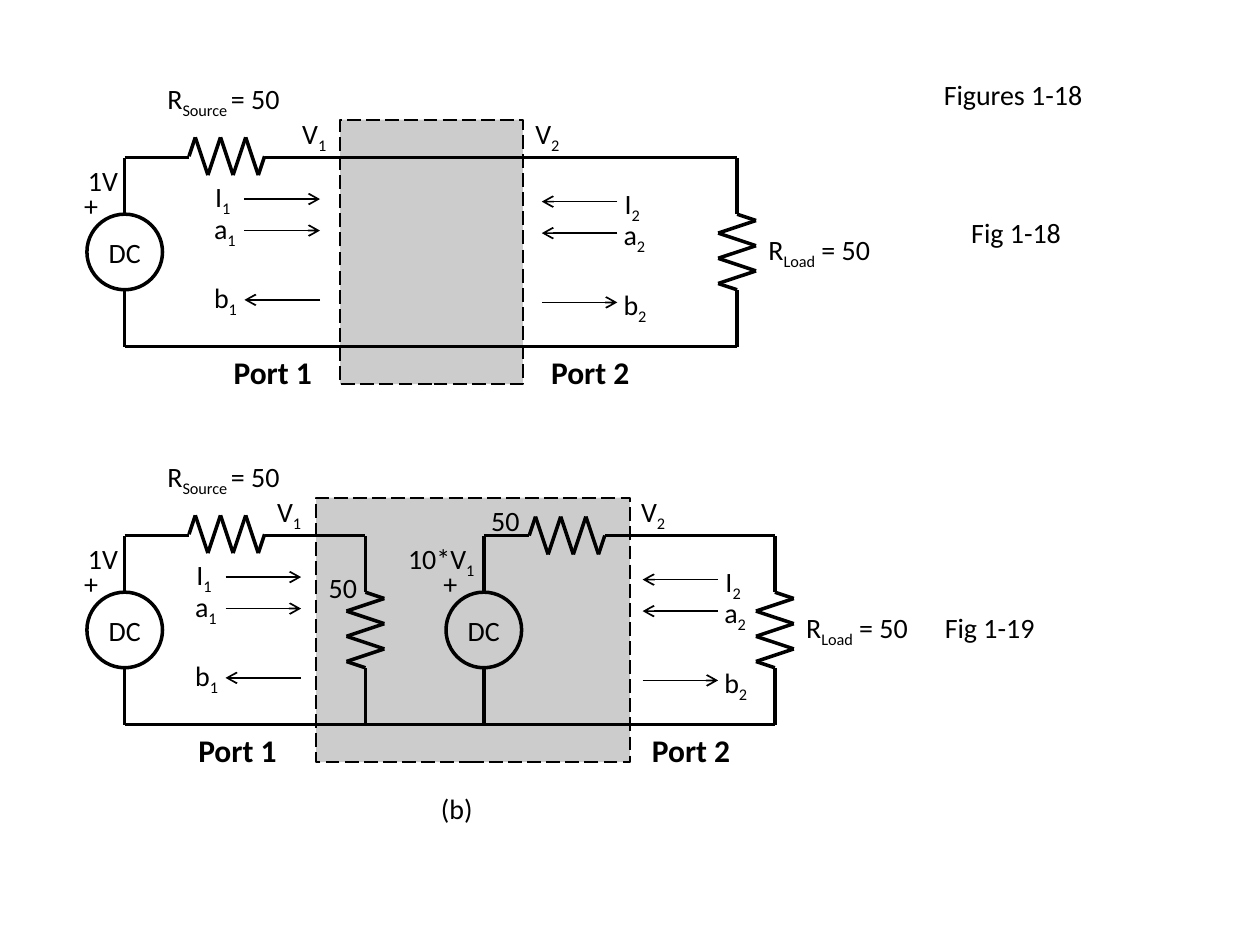
from itertools import pairwise

from lxml.etree import SubElement
from pptx import Presentation
from pptx.dml.color import RGBColor
from pptx.enum.dml import MSO_LINE
from pptx.enum.shapes import MSO_CONNECTOR, MSO_SHAPE
from pptx.enum.text import MSO_ANCHOR, MSO_AUTO_SIZE, PP_ALIGN
from pptx.oxml.ns import qn
from pptx.util import Cm, Pt

BLACK = RGBColor(0x00, 0x00, 0x00)
LABEL = {"name": "Calibri", "size": Pt(16), "bold": False}
PORT_NAME = {"name": "Calibri", "size": Pt(18), "bold": True}
WIRE, ARROW = Pt(2), Pt(1)

# Circuit proportions, in grid units of 2.54 cm, from the top left of a circuit
SOURCE_X = 0.44
RAIL, PART_TOP, PART_END, GROUND = 0.65, 1.1, 1.7, 2.15
PART = 0.6
ZIGZAG = [(0, 0), (0.05, 0.15), (0.15, -0.15), (0.25, 0.15),
          (0.35, -0.15), (0.45, 0.15), (0.55, -0.15), (0.6, 0)]


def grid(units):
    return Cm(units * 2.54)


def apply_format(target, values):
    for name, value in values.items():
        setattr(target, name, value)


def write(frame, text, font=LABEL, align=PP_ALIGN.LEFT):
    """Write text in which _underscores_ enclose a subscript."""
    paragraph = frame.paragraphs[0]
    paragraph.alignment = align
    for index, part in enumerate(text.split("_")):
        if not part:
            continue
        run = paragraph.add_run()
        run.text = part
        apply_format(run.font, font)
        run.font.color.rgb = BLACK
        if index % 2:
            run.font._element.set("baseline", "-25000")


def label(slide, left, top, width, text, height=0.37, font=LABEL,
          align=PP_ALIGN.LEFT, wrap=False, **frame_format):
    frame = slide.shapes.add_textbox(*map(grid, (left, top, width, height))).text_frame
    apply_format(frame, {"word_wrap": wrap, "auto_size": MSO_AUTO_SIZE.SHAPE_TO_FIT_TEXT,
                         **frame_format})
    write(frame, text, font, align)


def line(shapes, start, end, width=WIRE, arrow=False):
    connector = shapes.add_connector(MSO_CONNECTOR.STRAIGHT, *map(grid, (*start, *end)))
    connector.line.color.rgb = BLACK
    connector.line.width = width
    properties = connector._element.spPr
    if arrow:
        SubElement(properties.find(qn("a:ln")), qn("a:tailEnd"), type="arrow")
    SubElement(properties, qn("a:effectLst"))


def resistor(slide, left, top, vertical=False):
    group = slide.shapes.add_group_shape()
    points = [(left + across, top + along) if vertical else (left + along, top - across)
              for along, across in ZIGZAG]
    for start, end in pairwise(points):
        line(group.shapes, start, end)


def leads(slide, x, top):
    """Join a part in the middle of a branch to the rail and the ground."""
    for start, end in ((PART_TOP, RAIL), (GROUND, PART_END)):
        line(slide.shapes, (x, top + start), (x, top + end))


def shunt_resistor(slide, x, top):
    leads(slide, x, top)
    resistor(slide, x, top + PART_TOP, vertical=True)


def source(slide, x, top, value, value_width):
    leads(slide, x, top)
    circle = slide.shapes.add_shape(
        MSO_SHAPE.OVAL, *map(grid, (x - PART / 2, top + PART_TOP, PART, PART)))
    circle.shadow.inherit = False
    circle.fill.background()
    apply_format(circle.line, {"width": WIRE})
    circle.line.color.rgb = BLACK
    apply_format(circle.text_frame, {
        "margin_left": 0, "margin_right": 0, "margin_top": 0, "margin_bottom": 0,
        "vertical_anchor": MSO_ANCHOR.MIDDLE})
    write(circle.text_frame, "DC", align=PP_ALIGN.CENTER)
    label(slide, x - 0.42, top + 0.85, 0.31, "+")
    label(slide, x - value_width + 0.05, top + RAIL, value_width, value)


def network_box(slide, left, top, width):
    box = slide.shapes.add_shape(
        MSO_SHAPE.RECTANGLE, *map(grid, (left, top + 0.35, width, 2.1)))
    box.shadow.inherit = False
    box.fill.solid()
    box.fill.fore_color.rgb = BLACK
    color = box._element.spPr.find(qn("a:solidFill")).find(qn("a:srgbClr"))
    SubElement(color, qn("a:alpha"), val="20000")
    apply_format(box.line, {"width": Pt(1), "dash_style": MSO_LINE.LONG_DASH})
    box.line.color.rgb = BLACK


def port(slide, left, top, number, node_dx, name_dx):
    """Place the signals of a port; port 1 faces right and port 2 faces left."""
    first = number == 1
    text_dx, arrow_dx = (0, 0.34) if first else (0.55, 0)
    text_drop, arrow_drop = (0, 0) if first else (0.05, 0.02)
    for signal, row, width in (("I", 0.78, 0.33), ("a", 1.03, 0.38), ("b", 1.58, 0.39)):
        nudge = 0.01 if signal == "I" else 0
        label(slide, left + text_dx + nudge, top + row + text_drop, width,
              f"{signal}_{number}_")
        y = top + row + 0.2 + arrow_drop
        ends = [(left + arrow_dx, y), (left + arrow_dx + PART, y)]
        if first == (signal == "b"):
            ends.reverse()
        line(slide.shapes, *ends, width=ARROW, arrow=True)
    label(slide, left + node_dx, top + 0.28, 0.41, f"V_{number}_")
    label(slide, left + name_dx, top + GROUND, 0.83, f"Port {number}", 0.4,
          PORT_NAME, PP_ALIGN.CENTER)


def outer_circuit(slide, left, top, load_dx):
    """Source, source resistor, ground line and load around the network."""
    source_x, load_x = left + SOURCE_X, left + load_dx
    source(slide, source_x, top, "1V", 0.44)
    line(slide.shapes, (source_x, top + RAIL), (left + 0.95, top + RAIL))
    resistor(slide, left + 0.95, top + RAIL - 0.01)
    label(slide, left + 0.68, top, 1.15, "R_Source _= 50")
    line(slide.shapes, (source_x, top + GROUND), (load_x, top + GROUND))
    shunt_resistor(slide, load_x, top)
    label(slide, load_x + 0.15, top + 1.2, 1.15, "R_Load_ = 50", wrap=True)


def through_circuit(slide, left, top):
    network_box(slide, left + 2.15, top, 1.45)
    outer_circuit(slide, left, top, 5.3)
    line(slide.shapes, (left + 1.55, top + RAIL), (left + 5.3, top + RAIL))
    port(slide, left + 1.05, top, 1, node_dx=0.7, name_dx=0.15)
    port(slide, left + 3.75, top, 2, node_dx=-0.15, name_dx=-0.03)
    label(slide, left + 7.06, top + 1.06, 0.92, "Fig 1-18")


def amplifier_circuit(slide, left, top):
    network_box(slide, left + 1.96, top, 2.49)
    outer_circuit(slide, left, top, 5.6)
    rail = top + RAIL
    # Input side
    line(slide.shapes, (left + 1.55, rail), (left + 2.35, rail))
    shunt_resistor(slide, left + 2.35, top)
    label(slide, left + 1.96, top + 0.88, 0.55, "50", wrap=True)
    # Output side
    source(slide, left + 3.29, top, "10*V_1_", 0.75)
    line(slide.shapes, (left + 3.29, rail), (left + 3.65, rail))
    resistor(slide, left + 3.65, rail)
    line(slide.shapes, (left + 4.25, rail), (left + 5.6, rail))
    label(slide, left + 3.25, top + 0.35, 0.55, "50", wrap=True)
    # Ports and captions
    port(slide, left + 0.9, top, 1, node_dx=0.65, name_dx=0.02)
    port(slide, left + 4.55, top, 2, node_dx=-0.11, name_dx=-0.03)
    label(slide, left + 6.85, top + 1.2, 0.92, "Fig 1-19")
    label(slide, left + 2.5, top + 2.63, 1.15, "(b)", align=PP_ALIGN.CENTER, wrap=True)


def main():
    deck = Presentation()
    apply_format(deck, {"slide_width": Cm(25.4), "slide_height": Cm(19.05)})
    slide = deck.slides.add_slide(deck.slide_layouts[6])
    label(slide, 6.58, 0.3, 2.92, "Figures 1-18", 0.9, align=PP_ALIGN.CENTER, wrap=True,
          auto_size=MSO_AUTO_SIZE.NONE, vertical_anchor=MSO_ANCHOR.MIDDLE)
    through_circuit(slide, 0.55, 0.6)
    amplifier_circuit(slide, 0.55, 3.6)
    deck.save("out.pptx")


if __name__ == "__main__":
    main()
